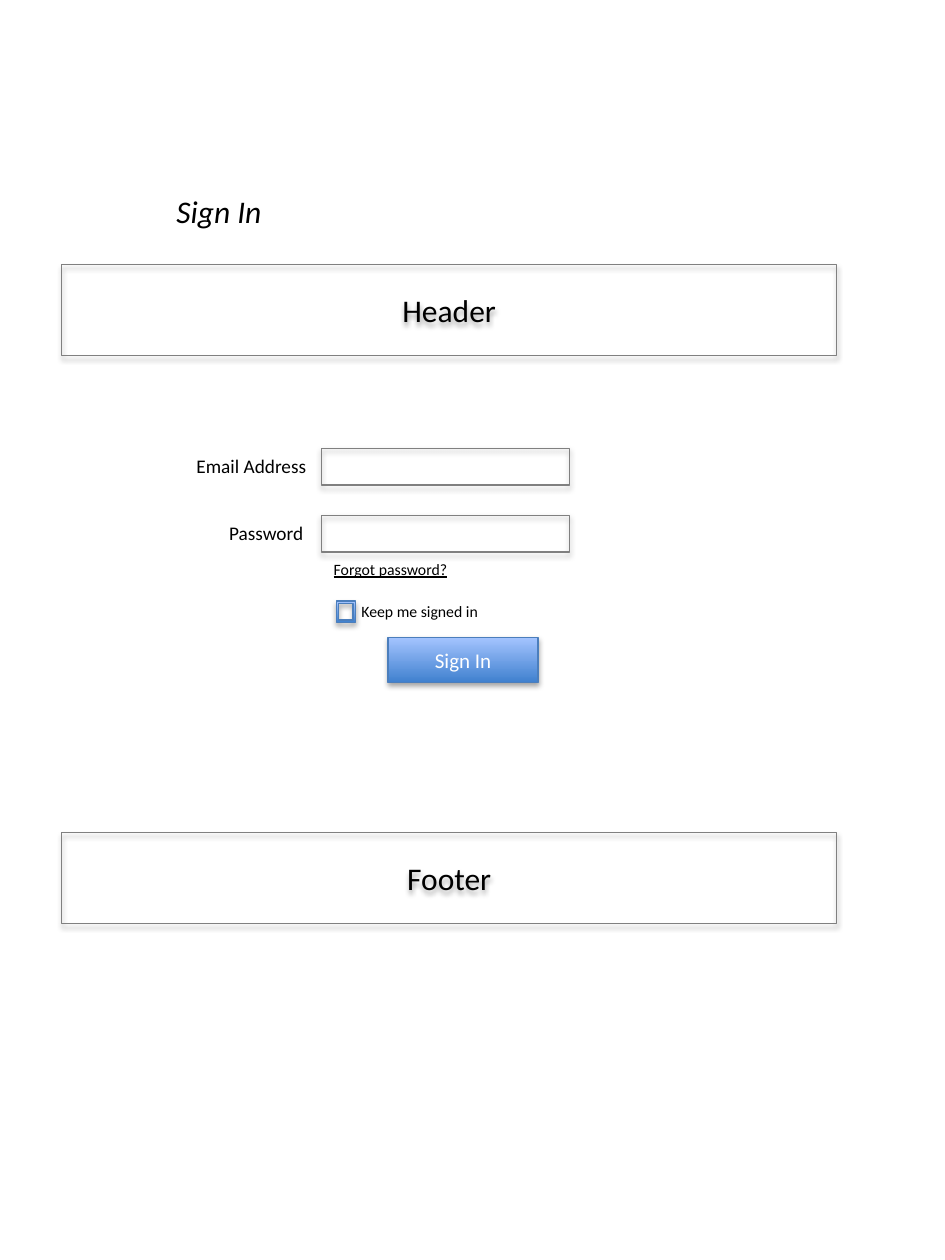
from lxml import etree
from pptx import Presentation
from pptx.dml.color import RGBColor
from pptx.enum import shapes, text
from pptx.oxml.ns import qn
from pptx.util import Inches, Pt

COLORS = {
    "ink": "000000",
    "outline": "808080",
    "button_line": "4B7EBC",
    "button_dark": "3F80CE",
    "button_light": "A4C4FF",
    "button_text": "FFFFFF",
}


def rgb(name):
    return RGBColor.from_string(COLORS[name])


def cast_shadow(part):
    part.shadow.inherit = False
    effects = part._element.spPr.find(qn("a:effectLst"))
    shadow = etree.SubElement(effects, qn("a:outerShdw"), blurRad=str(Pt(3.1)),
                              dist=str(Pt(1.8)), dir="5400000", rotWithShape="0")
    color = etree.SubElement(shadow, qn("a:srgbClr"), val=COLORS["ink"])
    etree.SubElement(color, qn("a:alpha"), val="35000")


def write(part, words, size, color="ink", align=text.PP_ALIGN.LEFT,
          anchor=text.MSO_ANCHOR.TOP):
    frame = part.text_frame
    frame.text = words
    frame.vertical_anchor = anchor
    paragraph = frame.paragraphs[0]
    paragraph.alignment = align
    font = paragraph.font
    font.name, font.size, font.color.rgb = "Calibri", Pt(size), rgb(color)
    return font


def fit_to_words(part):
    part.text_frame.word_wrap = False
    part.text_frame.auto_size = text.MSO_AUTO_SIZE.SHAPE_TO_FIT_TEXT


def add_outlined(slide, box, kind=shapes.MSO_SHAPE.RECTANGLE, line="outline"):
    part = slide.shapes.add_shape(kind, *map(Inches, box))
    part.fill.background()
    part.line.color.rgb = rgb(line)
    part.line.width = Pt(0.75)
    cast_shadow(part)
    return part


def add_glossy(slide, box, kind=shapes.MSO_SHAPE.RECTANGLE):
    part = add_outlined(slide, box, kind, "button_line")
    part.fill.gradient()
    part.fill.gradient_angle = 90
    for stop, name in zip(part.fill.gradient_stops, ("button_dark", "button_light")):
        stop.color.rgb = rgb(name)
    return part


def add_label(slide, box, words, size):
    label = slide.shapes.add_textbox(*map(Inches, box))
    font = write(label, words, size)
    fit_to_words(label)
    return font


def place_title(slide, box):
    title = slide.shapes.title
    title.left, title.top, title.width, title.height = map(Inches, box)
    write(title, "Sign In", 18).italic = True
    fit_to_words(title)


def add_band(slide, box, words):
    band = add_outlined(slide, box)
    write(band, words, 18, align=text.PP_ALIGN.CENTER, anchor=text.MSO_ANCHOR.MIDDLE)


def add_field(slide, box, words, label_left, label_width):
    left, top, width, height = box
    add_label(slide, (left + label_left, top, label_width, height), words, 11)
    add_outlined(slide, (left + 1.09, top, width - 1.09, height))


def add_sign_in_form(slide, box):
    left, top, width, height = box
    fields = [("Email Address", 0, 1.08), ("Password", 0.26, 0.8)]
    for row, (words, label_left, label_width) in enumerate(fields):
        add_field(slide, (left, top + row * 0.53, width, 0.29),
                  words, label_left, label_width)

    button = add_glossy(slide, (left + 1.62, top + height - 0.36, 1.19, 0.36))
    write(button, "Sign In", 12, "button_text", text.PP_ALIGN.CENTER,
          text.MSO_ANCHOR.MIDDLE)

    add_label(slide, (left + 1.31, top + 1.17, 1.14, 0.25), "Keep me signed in", 9)
    add_glossy(slide, (left + 1.21, top + 1.21, 0.15, 0.17), shapes.MSO_SHAPE.FRAME)
    forgot = add_label(slide, (left + 1.09, top + 0.83, 1.15, 0.25),
                       "Forgot password?", 9)
    forgot.underline = True


def main():
    deck = Presentation()
    deck.slide_width, deck.slide_height = Inches(7.5), Inches(10)
    slide = deck.slides.add_slide(deck.slide_layouts[5])

    place_title(slide, (1.3, 1.47, 0.95, 0.4))
    for words, top in (("Header", 2.1), ("Footer", 6.61)):
        add_band(slide, (0.49, top, 6.15, 0.72), words)
    add_sign_in_form(slide, (1.46, 3.56, 3.06, 1.86))

    deck.save("out.pptx")


if __name__ == "__main__":
    main()
